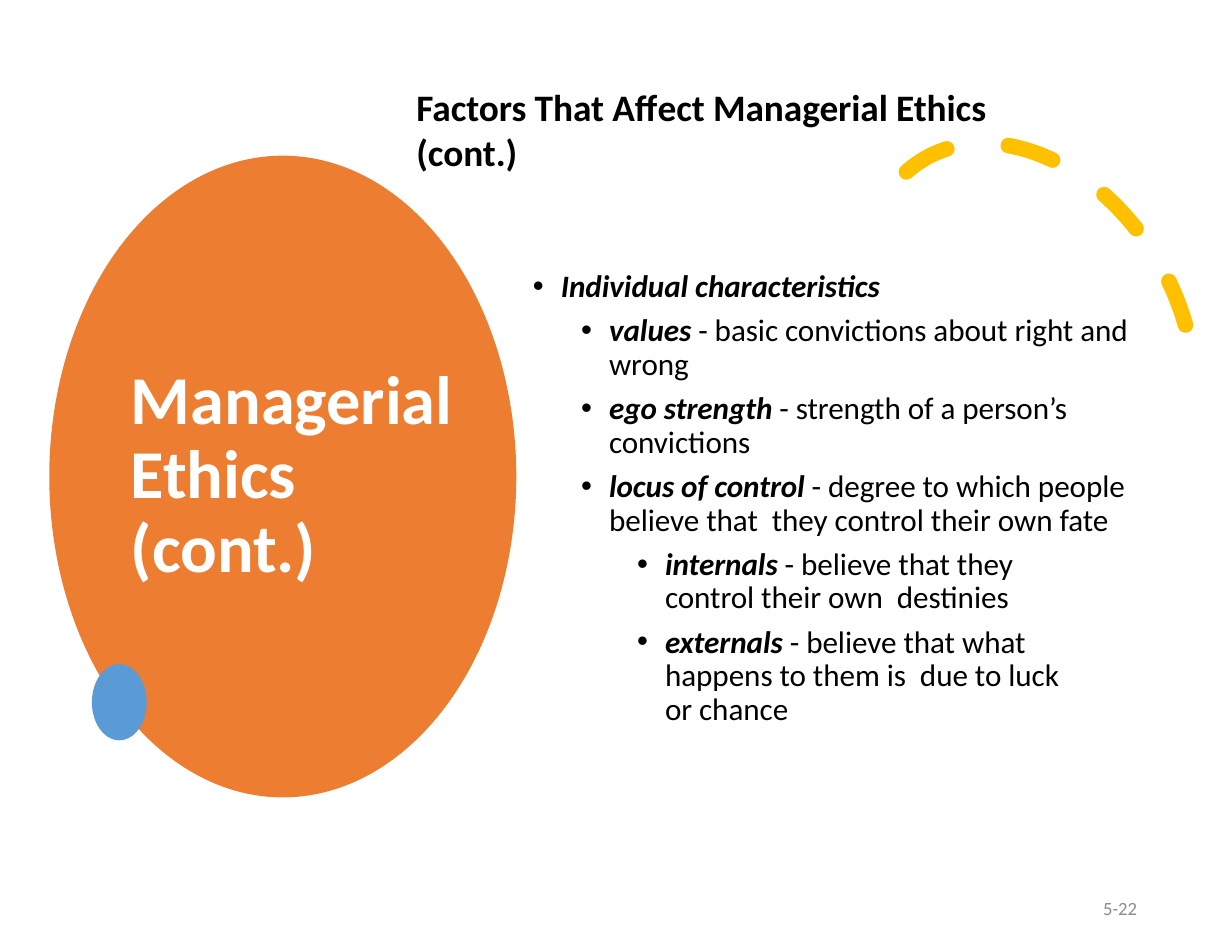
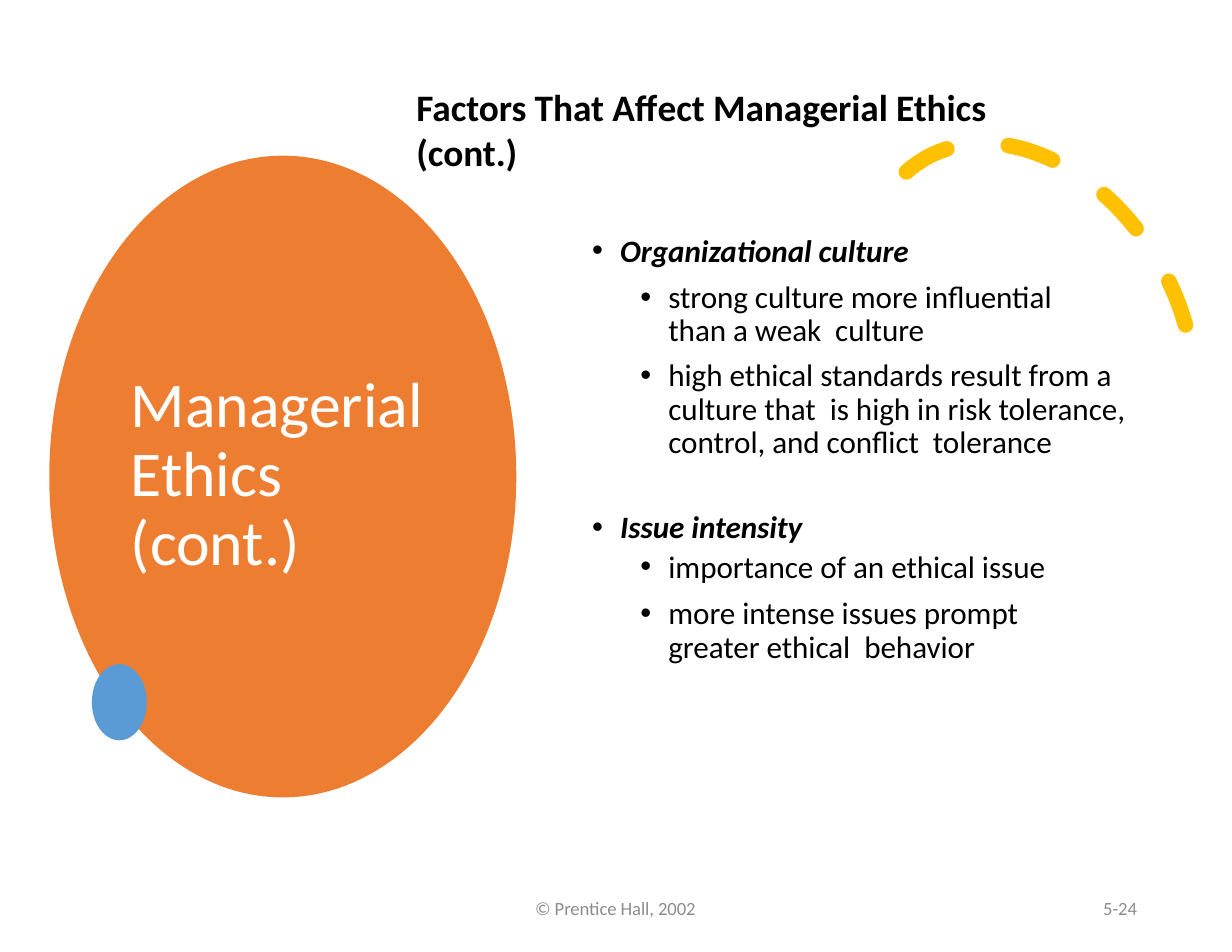
from lxml.etree import SubElement
from pptx import Presentation
from pptx.dml.color import RGBColor
from pptx.enum.dml import MSO_LINE
from pptx.enum.shapes import MSO_SHAPE
from pptx.enum.text import MSO_ANCHOR, PP_ALIGN
from pptx.oxml.ns import qn
from pptx.util import Inches, Pt

COLORS = {
    "orange": "ED7D31",
    "blue": "5B9BD5",
    "gold": "FFC000",
    "white": "FFFFFF",
    "black": "000000",
    "gray": "8C8C8C",
}
TITLE = "Managerial Ethics (cont.)"
HEADING = "Factors That Affect Managerial Ethics (cont.)"
INDENTS = [0.83, 1.26, 1.76]
HANGING = 0.25
NARROW = 0.55

# Each bullet: level, space before, bold italic lead, plain text, right margin
SLIDES = [
    {
        "title": {"width": 3.28, "size": 44, "bold": True},
        "body": (4.08, 2.37, 6.16, 4.4),
        "bullets": [
            (0, 0, "Individual characteristics", "", 0),
            (1, 6.8, "values ", "- basic convictions about right and wrong", 0),
            (1, 6.8, "ego strength ", "- strength of a person’s convictions", 0),
            (1, 6.8, "locus of control ",
             "- degree to which people believe that  they control their own fate", 0),
            (2, 6.8, "internals ",
             "- believe that they control their own  destinies", NARROW),
            (2, 6.8, "externals ",
             "- believe that what happens to them is  due to luck or chance", NARROW),
        ],
        "footer": "",
        "number": "5-22",
    },
    {
        "title": {"width": 2.92, "size": 41, "bold": False},
        "body": (4.61, 2.05, 5.96, 4.88),
        "bullets": [
            (0, 0, "Organizational culture", "", 0),
            (1, 8.2, "", "strong culture more influential than a weak  culture", NARROW),
            (1, 7.2, "", "high ethical standards result from a culture that  is high "
             "in risk tolerance, control, and conflict  tolerance", 0),
            (0, 33, "Issue intensity", "", 0),
            (1, 3.7, "", "importance of an ethical issue", 0),
            (1, 8.1, "", "more intense issues prompt greater ethical  behavior", NARROW),
        ],
        "footer": "© Prentice Hall, 2002",
        "number": "5-24",
    },
]


def add_text_frame(slide, box, anchor=MSO_ANCHOR.TOP):
    text_frame = slide.shapes.add_textbox(*map(Inches, box)).text_frame
    text_frame.word_wrap = True
    text_frame.vertical_anchor = anchor
    return text_frame


def add_run(paragraph, text, color, **font_values):
    """Add slightly tightened text in the deck's font."""
    run = paragraph.add_run()
    run.text = text
    run.font.color.rgb = RGBColor.from_string(COLORS[color])
    for name, value in {"name": "Calibri", **font_values}.items():
        setattr(run.font, name, value)
    run.font._element.set("spc", "-5")


presentation = Presentation()
presentation.slide_width = Inches(11)
presentation.slide_height = Inches(8.5)

for content in SLIDES:
    slide = presentation.slides.add_slide(presentation.slide_layouts[6])

    # Ovals and dashed arc
    for box, color in [((0.44, 1.39, 4.17, 5.73), "orange"),
                       ((0.82, 5.93, 0.49, 0.68), "blue")]:
        oval = slide.shapes.add_shape(MSO_SHAPE.OVAL, *map(Inches, box))
        oval.shadow.inherit = False
        oval.fill.solid()
        oval.fill.fore_color.rgb = RGBColor.from_string(COLORS[color])
        oval.line.fill.background()

    arc = slide.shapes.add_shape(
        MSO_SHAPE.ARC, Inches(7.83), Inches(1.17), Inches(2.7), Inches(3.7))
    arc.shadow.inherit = False
    arc.rotation = 330.2
    arc.adjustments[0] = 158.17
    arc.adjustments[1] = 17.81
    arc.fill.background()
    arc.line.color.rgb = RGBColor.from_string(COLORS["gold"])
    arc.line.width = Pt(10)
    arc.line.dash_style = MSO_LINE.DASH
    arc.element.spPr.find(qn("a:ln")).set("cap", "rnd")

    # Title and heading
    title = content["title"]
    paragraph = add_text_frame(
        slide, (1.07, 1.73, title["width"], 5.04), MSO_ANCHOR.MIDDLE).paragraphs[0]
    paragraph.line_spacing = 0.9
    add_run(paragraph, TITLE, "white", size=Pt(title["size"]), bold=title["bold"])

    paragraph = add_text_frame(slide, (3.62, 0.7, 6.16, 1.31)).paragraphs[0]
    add_run(paragraph, HEADING, "black", size=Pt(24), bold=True)

    # Bullets
    text_frame = add_text_frame(slide, content["body"])
    for index, (level, space, lead, text, margin) in enumerate(content["bullets"]):
        paragraph = text_frame.add_paragraph() if index else text_frame.paragraphs[0]
        properties = paragraph._p.get_or_add_pPr()
        properties.set("marL", str(Inches(INDENTS[level])))
        properties.set("marR", str(Inches(margin)))
        properties.set("indent", str(-Inches(HANGING)))
        SubElement(properties, qn("a:buFont"), typeface="Arial")
        SubElement(properties, qn("a:buChar"), char="•")
        format_values = {"level": level, "line_spacing": 0.9, "space_before": Pt(space)}
        for name, value in format_values.items():
            setattr(paragraph, name, value)
        if lead:
            add_run(paragraph, lead, "black", size=Pt(20), bold=True, italic=True)
        if text:
            add_run(paragraph, text, "black", size=Pt(20))

    # Footer and slide number
    for text, left, width, alignment in [
            (content["footer"], 3.64, 3.71, PP_ALIGN.CENTER),
            (content["number"], 7.77, 2.48, PP_ALIGN.RIGHT)]:
        if text:
            paragraph = add_text_frame(
                slide, (left, 7.88, width, 0.45), MSO_ANCHOR.MIDDLE).paragraphs[0]
            paragraph.alignment = alignment
            add_run(paragraph, text, "gray", size=Pt(12))

presentation.save("out.pptx")
